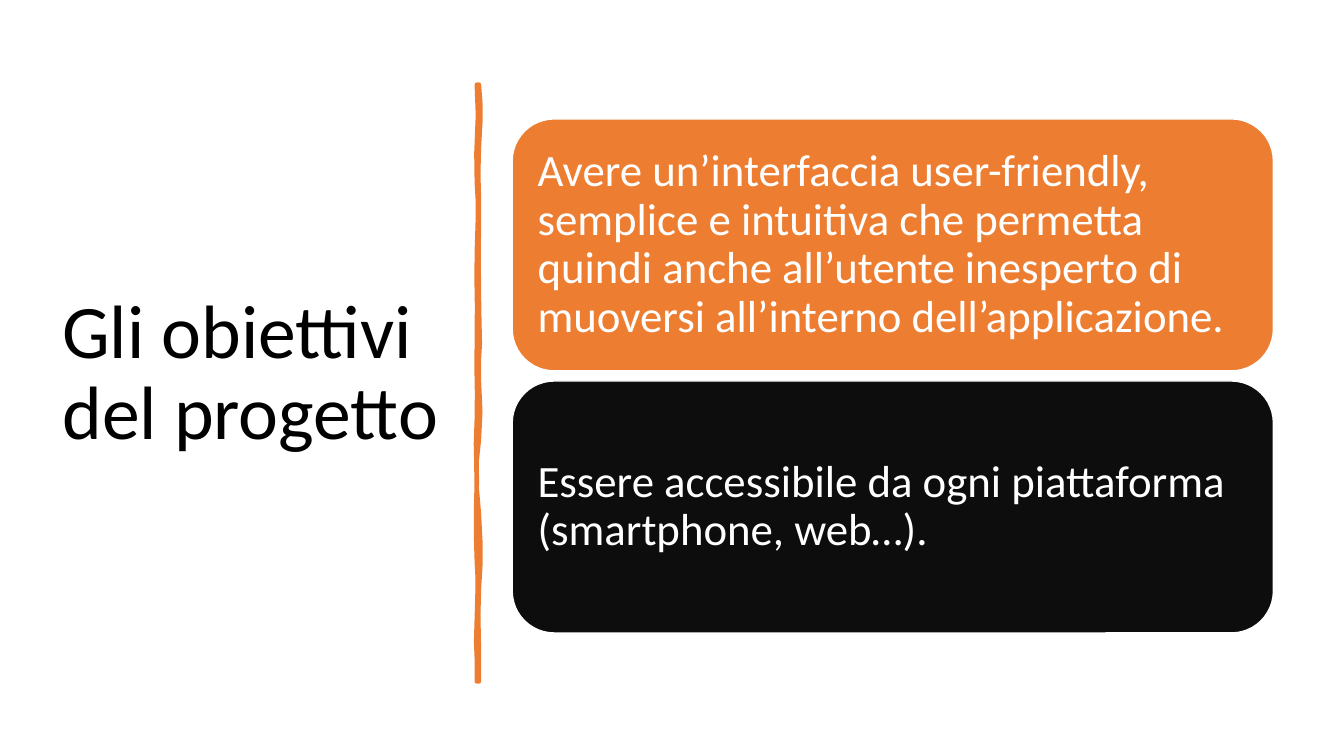
import pptx
import pptx.util
import pptx.dml.color
import pptx.enum.shapes
import pptx.enum.text

Inches = pptx.util.Inches
Pt = pptx.util.Pt
RGBColor = pptx.dml.color.RGBColor

WIDTH, HEIGHT = 13.33, 7.5
FONT = "Calibri"
ORANGE = RGBColor(0xED, 0x7D, 0x31)
NEAR_BLACK = RGBColor(0x0D, 0x0D, 0x0D)
BLACK = RGBColor(0, 0, 0)
WHITE = RGBColor(0xFF, 0xFF, 0xFF)

TITLE_BOX = (0.52, 0.66, 4.23, 6.11)
DIVIDER_BOX = (4.73, 0.84, 0.02, 5.92)
GOALS_BOX = (5.08, 1.18, 7.55, 5.1)
GOAL_GAP = 0.1
UNITS_PER_INCH = 1000
GOALS = [
    ("Avere un’interfaccia user-friendly, semplice e intuitiva che permetta "
     "quindi anche all’utente inesperto di muoversi all’interno "
     "dell’applicazione.", ORANGE),
    ("Essere accessibile da ogni piattaforma (smartphone, web…).", NEAR_BLACK),
]

RIGHT_WAVES = [
    (0.02, 1.02, 0.02, 1.19, 1.46), (-0.02, 1.73, 0.01, 1.95, 2.26),
    (-0.01, 2.57, 0, 2.62, 2.94), (0, 3.25, 0.02, 3.42, 3.56),
    (-0.02, 3.7, 0.04, 4.14, 4.36), (-0.04, 4.57, -0.03, 4.84, 5.1),
    (0.02, 5.36, 0.02, 5.64, 5.84), (-0.02, 6.03, 0.01, 6.5, 6.76),
]
LEFT_WAVES = [
    (0.01, 6.46, -0.02, 6.44, 6.13), (0.01, 5.83, 0.01, 5.7, 5.57),
    (-0.01, 5.44, -0.01, 4.95, 4.77), (0, 4.59, -0.02, 4.45, 4.15),
    (0.01, 3.86, -0.01, 3.73, 3.35), (0.01, 2.98, -0.01, 2.81, 2.5),
    (0.01, 2.18, 0.02, 2, 1.81), (-0.03, 1.63, 0.04, 1.04, 0.84),
]


def write_text(shape, text, size, color, inset=(0.1, 0.05), space_after=0):
    frame = shape.text_frame
    frame.word_wrap = True
    frame.vertical_anchor = pptx.enum.text.MSO_ANCHOR.MIDDLE
    frame.margin_left = frame.margin_right = Inches(inset[0])
    frame.margin_top = frame.margin_bottom = Inches(inset[1])
    para = frame.paragraphs[0]
    para.alignment = pptx.enum.text.PP_ALIGN.LEFT
    para.line_spacing = 0.9
    para.space_after = Pt(space_after)
    span = para.add_run()
    span.text = text
    span.font.name = FONT
    span.font.size = Pt(size)
    span.font.color.rgb = color


def paint(shape, fill, line, line_width):
    shape.shadow.inherit = False
    shape.fill.solid()
    shape.fill.fore_color.rgb = fill
    shape.line.color.rgb = line
    shape.line.width = Pt(line_width)


def wavy_edge(edge, start, waves, steps=3):
    points = [(edge, start)]
    for bend_one, y_one, bend_two, y_two, end in waves:
        for step in range(1, steps + 1):
            t = step / steps
            first, second = 3 * t * (1 - t) ** 2, 3 * t ** 2 * (1 - t)
            x = edge + first * bend_one + second * bend_two
            y = start * (1 - t) ** 3 + first * y_one + second * y_two + end * t ** 3
            points.append((x, y))
        start = end
    return points


def add_title(page, box):
    title = page.shapes.add_textbox(*map(Inches, box))
    write_text(title, "Gli obiettivi del progetto", 54, BLACK, space_after=6)


def add_divider(page, box):
    left, top, width, height = box
    edges = wavy_edge(left + width, top, RIGHT_WAVES)
    edges += wavy_edge(left, top + height, LEFT_WAVES)
    outline = [(x * UNITS_PER_INCH, y * UNITS_PER_INCH) for x, y in edges]
    builder = page.shapes.build_freeform(
        *outline[0], scale=Inches(1) / UNITS_PER_INCH)
    builder.add_line_segments(outline[1:], close=True)
    paint(builder.convert_to_shape(), ORANGE, ORANGE, 3.25)


def add_goals(page, box):
    left, top, width, height = box
    card_height = (height - GOAL_GAP * (len(GOALS) - 1)) / len(GOALS)
    for row, (text, fill) in enumerate(GOALS):
        card_top = top + row * (card_height + GOAL_GAP)
        card = page.shapes.add_shape(
            pptx.enum.shapes.MSO_SHAPE.ROUNDED_RECTANGLE,
            *map(Inches, (left, card_top, width, card_height)))
        paint(card, fill, WHITE, 1)
        write_text(card, text, 32, WHITE, inset=(0.13, 0.13))


def main():
    deck = pptx.Presentation()
    deck.slide_width, deck.slide_height = Inches(WIDTH), Inches(HEIGHT)
    page = deck.slides.add_slide(deck.slide_layouts[6])
    add_title(page, TITLE_BOX)
    add_divider(page, DIVIDER_BOX)
    add_goals(page, GOALS_BOX)
    deck.save("out.pptx")


if __name__ == "__main__":
    main()
